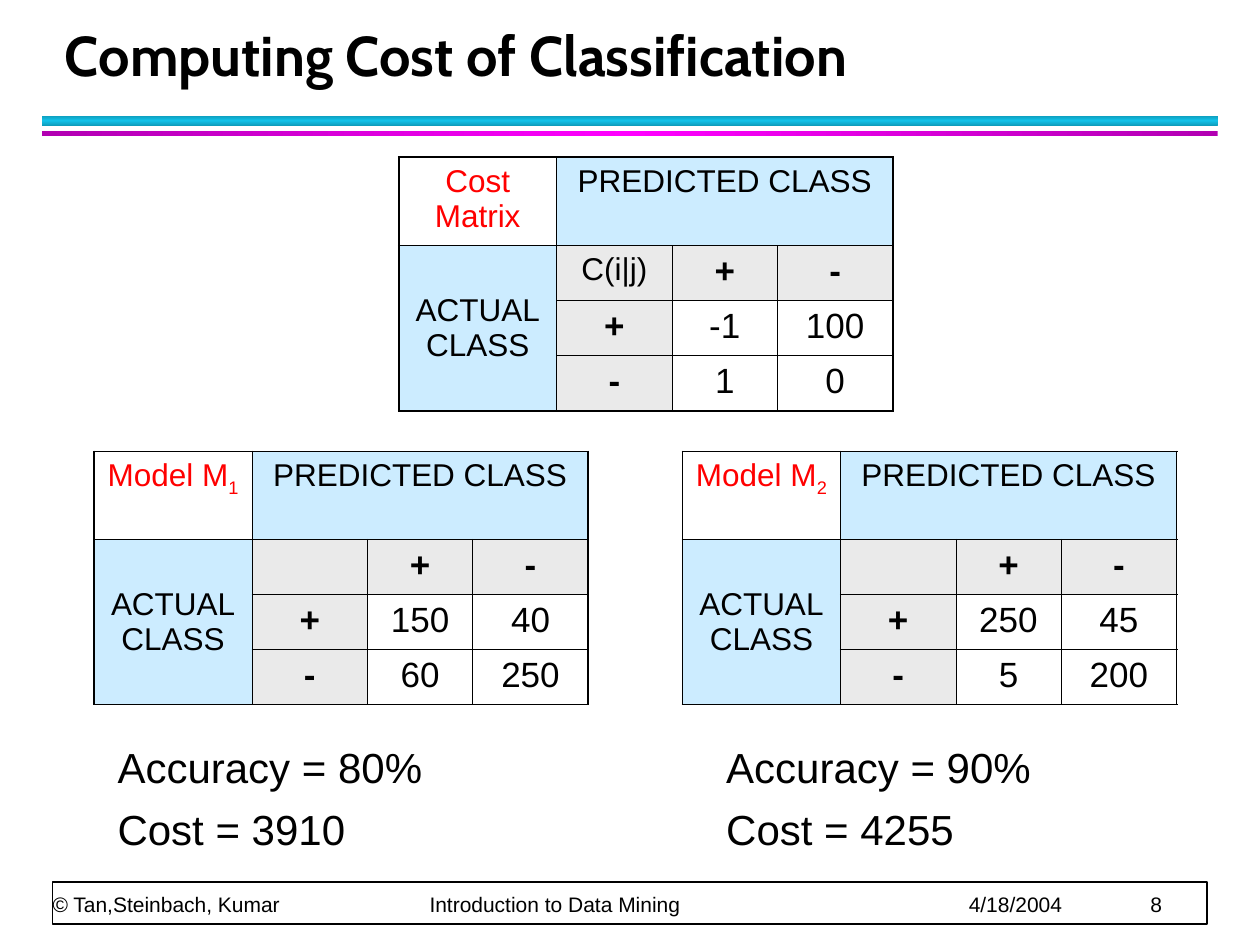
from copy import deepcopy
from dataclasses import dataclass

from lxml.etree import SubElement
from pptx import Presentation
from pptx.dml.color import RGBColor
from pptx.enum.shapes import MSO_SHAPE
from pptx.enum.text import MSO_ANCHOR, PP_ALIGN
from pptx.oxml.ns import qn
from pptx.util import Cm, Pt

TITLE = "Computing Cost of Classification"
FOOTER = ["© Tan,Steinbach, Kumar", "Introduction to Data Mining", "4/18/2004", "8"]
FOOTER_TABS = [7.6, 18.47, 22.13]

# Each matrix: corner label and subscript, label of the inner corner, values, left and top in cm
MATRICES = [
    {"corner": ("Cost Matrix", ""), "key": "C(i|j)",
     "values": [["-1", "100"], ["1", "0"]], "at": (8.04, 3.17)},
    {"corner": ("Model M", "1"), "key": "",
     "values": [["150", "40"], ["60", "250"]], "at": (1.9, 9.1)},
    {"corner": ("Model M", "2"), "key": "",
     "values": [["250", "45"], ["5", "200"]], "at": (13.76, 9.1)},
]
SIGNS = ["+", "-"]
COLUMNS = [3.18, 2.33, 2.12, 2.33]
ROWS = [1.77, 1.11, 1.11, 1.11]

RESULTS = [
    (2.12, ["Accuracy = 80%", "Cost = 3910"]),
    (14.39, ["Accuracy = 90%", "Cost = 4255"]),
]

# Top, height, edge colour, middle colour
RULES = [(2.33, 0.21, "0E9BBA", "12C2E9"), (2.64, 0.1, "B200B2", "FF00FF")]


@dataclass(frozen=True)
class Theme:
    title_font: str = "Cabin"
    body_font: str = "Arial"
    ink: str = "000000"
    paper: str = "FFFFFF"
    accent: str = "FF0000"
    class_fill: str = "CCECFF"
    sign_fill: str = "EAEAEA"
    title_size: float = 32
    result_size: float = 24
    value_size: float = 20
    label_size: float = 18
    footer_size: float = 12
    outer_line: float = 1.08
    inner_line: float = 0.45


THEME = Theme()


def rgb(color):
    return RGBColor.from_string(color)


def style(paragraph, size, color=THEME.ink, bold=False, name=THEME.body_font):
    font = paragraph.font
    font.name, font.size, font.bold = name, Pt(size), bold
    font.color.rgb = rgb(color)


def space(paragraph, before, after):
    paragraph.space_before, paragraph.space_after = Pt(before), Pt(after)


def add_text_box(slide, left, top, width, height, lines, anchor=MSO_ANCHOR.TOP):
    frame = slide.shapes.add_textbox(Cm(left), Cm(top), Cm(width), Cm(height)).text_frame
    frame.word_wrap = True
    frame.vertical_anchor = anchor
    frame.text = "\n".join(lines)
    return frame


def add_rectangle(slide, left, top, width, height):
    shape = slide.shapes.add_shape(
        MSO_SHAPE.RECTANGLE, Cm(left), Cm(top), Cm(width), Cm(height))
    shape.shadow.inherit = False
    return shape


def add_rule(slide, top, height, edge, middle, angle):
    """Draw a full-width bar whose colour runs from edge to middle and back."""
    shape = add_rectangle(slide, 0.85, top, 23.7, height)
    shape.line.fill.background()
    shape.fill.gradient()
    shape.fill.gradient_angle = angle
    stop_list = next(shape.element.iter(qn("a:gsLst")))
    stop_list.append(deepcopy(stop_list[0]))
    for index, color in enumerate([edge, middle, edge]):
        stop = shape.fill.gradient_stops[index]
        stop.position = index / 2
        stop.color.rgb = rgb(color)


def add_borders(cell, row, column):
    """Frame a cell, with heavier lines on the outside of the table."""
    outside = {
        "a:lnL": column == 0,
        "a:lnR": column + max(cell.span_width, 1) == len(COLUMNS),
        "a:lnT": row == 0,
        "a:lnB": row + max(cell.span_height, 1) == len(ROWS),
    }
    properties = cell._tc.get_or_add_tcPr()
    for index, (tag, is_outer) in enumerate(outside.items()):
        width = Pt(THEME.outer_line if is_outer else THEME.inner_line)
        line = SubElement(properties, qn(tag), w=str(int(width)))
        fill = SubElement(line, qn("a:solidFill"))
        SubElement(fill, qn("a:srgbClr"), val=THEME.ink)
        properties.insert(index, line)


def fill_cell(cell, text, fill=None, label=False, bold=False, color=THEME.ink):
    if fill:
        cell.fill.solid()
        cell.fill.fore_color.rgb = rgb(fill)
    else:
        cell.fill.background()
    paragraph = cell.text_frame.paragraphs[0]
    paragraph.text = text
    paragraph.alignment = PP_ALIGN.CENTER
    space(paragraph, 2.2 if label else 2.5, 4)
    style(paragraph, THEME.label_size if label else THEME.value_size, color, bold)
    return paragraph


def add_matrix(slide, corner, key, values, at):
    left, top = at
    table = slide.shapes.add_table(
        len(ROWS), len(COLUMNS), Cm(left), Cm(top), Cm(sum(COLUMNS)), Cm(sum(ROWS))).table
    table.first_row = table.horz_banding = False
    for column, width in zip(table.columns, COLUMNS):
        column.width = Cm(width)
    for row, height in zip(table.rows, ROWS):
        row.height = Cm(height)
    table.cell(0, 1).merge(table.cell(0, 3))
    table.cell(1, 0).merge(table.cell(3, 0))

    label, subscript = corner
    paragraph = fill_cell(table.cell(0, 0), label, label=True, color=THEME.accent)
    if subscript:
        run = paragraph.add_run()
        run.text = subscript
        run.font._element.set("baseline", "-25000")
    fill_cell(table.cell(0, 1), "PREDICTED CLASS", THEME.class_fill, label=True)
    fill_cell(table.cell(1, 0), "ACTUAL\vCLASS", THEME.class_fill, label=True)
    table.cell(1, 0).vertical_anchor = MSO_ANCHOR.MIDDLE
    fill_cell(table.cell(1, 1), key, THEME.sign_fill, label=True)
    for i, sign in enumerate(SIGNS, start=2):
        for cell in (table.cell(1, i), table.cell(i, 1)):
            fill_cell(cell, sign, THEME.sign_fill, bold=True)
        for j, value in enumerate(values[i - 2], start=2):
            fill_cell(table.cell(i, j), value)

    for row in range(len(ROWS)):
        for column in range(len(COLUMNS)):
            cell = table.cell(row, column)
            if not cell.is_spanned:
                add_borders(cell, row, column)


def add_footer(slide):
    box = add_rectangle(slide, 1.06, 17.78, 23.28, 0.85)
    box.fill.solid()
    box.fill.fore_color.rgb = rgb(THEME.paper)
    box.line.color.rgb = rgb(THEME.ink)
    box.line.width = Pt(1)
    frame = add_text_box(slide, 1.06, 17.07, 23.24, 1.42, ["\t".join(FOOTER)], MSO_ANCHOR.BOTTOM)
    frame.margin_left = frame.margin_right = frame.margin_top = frame.margin_bottom = 0
    paragraph = frame.paragraphs[0]
    paragraph.line_spacing = Pt(20)
    tabs = SubElement(paragraph._p.get_or_add_pPr(), qn("a:tabLst"))
    for position in FOOTER_TABS:
        SubElement(tabs, qn("a:tab"), pos=str(int(Cm(position))), algn="l")
    style(paragraph, THEME.footer_size)


def main():
    presentation = Presentation()
    presentation.slide_width, presentation.slide_height = Cm(25.4), Cm(19.05)
    slide = presentation.slides.add_slide(presentation.slide_layouts[6])

    for rule, angle in zip(RULES, (90, 0)):
        add_rule(slide, *rule, angle)
    add_footer(slide)

    title = add_text_box(slide, 1.06, 0.42, 23.02, 1.48, [TITLE], MSO_ANCHOR.BOTTOM).paragraphs[0]
    title.line_spacing = Pt(36)
    style(title, THEME.title_size, bold=True, name=THEME.title_font)

    for matrix in MATRICES:
        add_matrix(slide, **matrix)
    for left, lines in RESULTS:
        for paragraph in add_text_box(slide, left, 14.82, 8.47, 2.75, lines).paragraphs:
            space(paragraph, 3, 4)
            style(paragraph, THEME.result_size)

    presentation.save("out.pptx")


if __name__ == "__main__":
    main()
